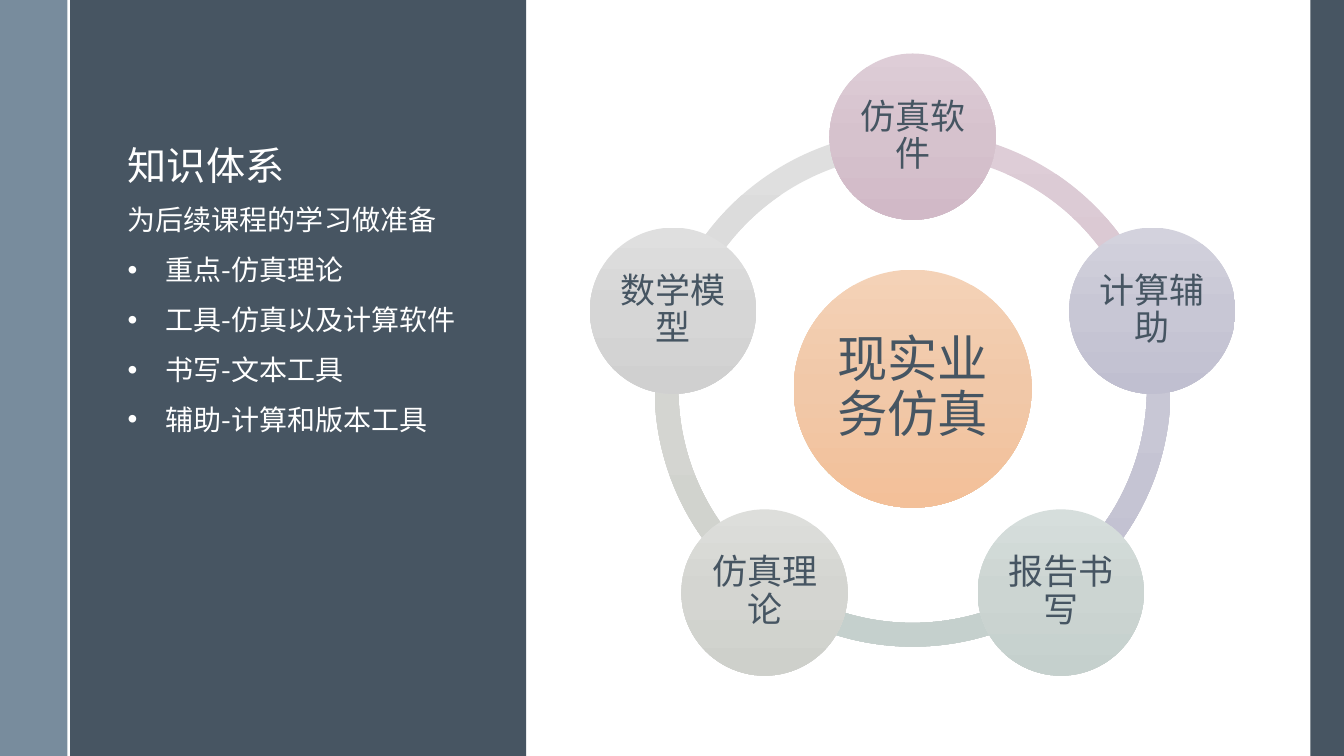
from copy import deepcopy
from dataclasses import dataclass
from math import cos, radians, sin

from lxml import etree
from pptx import Presentation
from pptx.dml.color import RGBColor
from pptx.enum.shapes import MSO_CONNECTOR, MSO_SHAPE
from pptx.enum.text import MSO_ANCHOR, PP_ALIGN
from pptx.oxml.ns import qn
from pptx.util import Pt

RECT = MSO_SHAPE.RECTANGLE
OVAL = MSO_SHAPE.OVAL
ARC = MSO_SHAPE.BLOCK_ARC
LINE = MSO_CONNECTOR.STRAIGHT
MIDDLE = MSO_ANCHOR.MIDDLE
BOTTOM = MSO_ANCHOR.BOTTOM
TOP = MSO_ANCHOR.TOP
CENTER = PP_ALIGN.CENTER

SANS = "Noto Sans CJK SC"
ROBOTO = "Roboto"
WHITE = "FFFFFF"
SLATE = "475562"
INK = "465562"

MID_X, MID_Y = 651.9, 277.6
ORBIT = 180
RING = 368.6


@dataclass
class Node:
    text: str
    shades: tuple[str, str, str]
    width: float = 118.8
    size: float = 25
    inset: float = 2.2


@dataclass
class Panel:
    left: float
    width: float
    color: str
    alpha: int = 100


PANELS = [
    Panel(49, 326.9, SLATE),
    Panel(0, 48.2, "6A8093", 90),
    Panel(936, 24, SLATE),
]

HUB = Node("现实业务仿真", ("F4D2B7", "F1C8A8", "F3C099"), 170, 36, 3.6)
NODES = [
    Node("仿真软件", ("DECDD7", "D6C2CD", "D1B9C7")),
    Node("计算辅助", ("D3D2DD", "C8C7D5", "C0BFD0")),
    Node("报告书写", ("D6DEDC", "CCD5D2", "C5D0CD")),
    Node("仿真理论", ("DDDEDB", "D4D5D1", "CED0CB")),
    Node("数学模型", ("DFDFDF", "D6D6D6", "D0D0D0")),
]

LEAD = "为后续课程的学习做准备"
POINTS = [
    "重点-仿真理论",
    "工具-仿真以及计算软件",
    "书写-文本工具",
    "辅助-计算和版本工具",
]


def paint(code: str) -> RGBColor:
    return RGBColor.from_string(code)


def add_form(slide, kind, left: float, top: float, width: float, height: float):
    shape = slide.shapes.add_shape(kind, Pt(left), Pt(top), Pt(width), Pt(height))
    shape.shadow.inherit = False
    shape.line.fill.background()
    return shape


def add_disc(slide, kind, x: float, y: float, width: float):
    return add_form(slide, kind, x - width / 2, y - width / 2, width, width)


def blend(shape, shades: tuple[str, str, str]) -> None:
    fill = shape.fill
    fill.gradient()
    fill.gradient_angle = 270
    stops = shape._element.spPr.find(qn("a:gradFill")).find(qn("a:gsLst"))
    stops.append(deepcopy(stops[-1]))
    for i, (stop, shade) in enumerate(zip(fill.gradient_stops, shades)):
        stop.position = i / 2
        stop.color.rgb = paint(shade)


def style(para, size: float, face: str, color: str) -> None:
    para.line_spacing = 0.9
    font = para.font
    font.size = Pt(size)
    font.color.rgb = paint(color)
    font.name = face
    props = para._p.pPr.find(qn("a:defRPr"))
    etree.SubElement(props, qn("a:ea"), typeface=SANS)


def add_panel(slide, panel: Panel) -> None:
    shape = add_form(slide, RECT, panel.left, 0, panel.width, 540)
    shape.fill.solid()
    shape.fill.fore_color.rgb = paint(panel.color)
    if panel.alpha < 100:
        tint = shape._element.spPr.find(qn("a:solidFill"))[0]
        etree.SubElement(tint, qn("a:alpha"), val=str(panel.alpha * 1000))


def add_rule(slide) -> None:
    rule = slide.shapes.add_connector(LINE, Pt(49), Pt(0), Pt(49), Pt(540))
    rule.line.color.rgb = paint(WHITE)
    rule.line.width = Pt(1.5)
    etree.SubElement(rule._element.spPr, qn("a:effectLst"))


def add_arc(slide, node: Node, angle: float) -> None:
    arc = add_disc(slide, ARC, MID_X, MID_Y, RING)
    for i, turn in enumerate((angle, angle + 72)):
        arc.adjustments[i] = round(turn % 360 * 0.6, 1)
    arc.adjustments[2] = 0.046
    blend(arc, node.shades)


def add_node(slide, node: Node, x: float, y: float) -> None:
    disc = add_disc(slide, OVAL, x, y, node.width)
    blend(disc, node.shades)
    frame = disc.text_frame
    frame.word_wrap = True
    frame.vertical_anchor = MIDDLE
    frame.margin_left = frame.margin_right = Pt(node.inset)
    frame.margin_top = frame.margin_bottom = Pt(node.inset)
    frame.text = node.text
    para = frame.paragraphs[0]
    para.alignment = CENTER
    style(para, node.size, ROBOTO, INK)


def add_text(slide, top: float, height: float, anchor, size: float, lines: list[str]) -> None:
    box = slide.shapes.add_textbox(Pt(84.2), Pt(top), Pt(259.2), Pt(height))
    frame = box.text_frame
    frame.word_wrap = True
    frame.vertical_anchor = anchor
    frame.text = "\n".join(lines)
    for i, para in enumerate(frame.paragraphs):
        if i:
            para.space_before = Pt(14)
            props = para._p.get_or_add_pPr()
            props.set("marL", str(Pt(27)))
            props.set("indent", str(-Pt(27)))
            etree.SubElement(props, qn("a:buFont"), typeface="Arial")
            etree.SubElement(props, qn("a:buChar"), char="•")
        style(para, size, SANS, WHITE)


def main() -> None:
    deck = Presentation()
    deck.slide_width, deck.slide_height = Pt(960), Pt(540)
    slide = deck.slides.add_slide(deck.slide_layouts[6])
    for panel in PANELS:
        add_panel(slide, panel)
    add_rule(slide)
    add_text(slide, 30.2, 108, BOTTOM, 28, ["知识体系"])
    angles = [270 + 72 * i for i in range(len(NODES))]
    for node, angle in zip(NODES, angles):
        add_arc(slide, node, angle)
    add_node(slide, HUB, MID_X, MID_Y)
    for node, angle in zip(NODES, angles):
        turn = radians(angle)
        add_node(slide, node, MID_X + ORBIT * cos(turn), MID_Y + ORBIT * sin(turn))
    add_text(slide, 144, 342, TOP, 20, [LEAD, *POINTS])
    deck.save("out.pptx")


if __name__ == "__main__":
    main()
